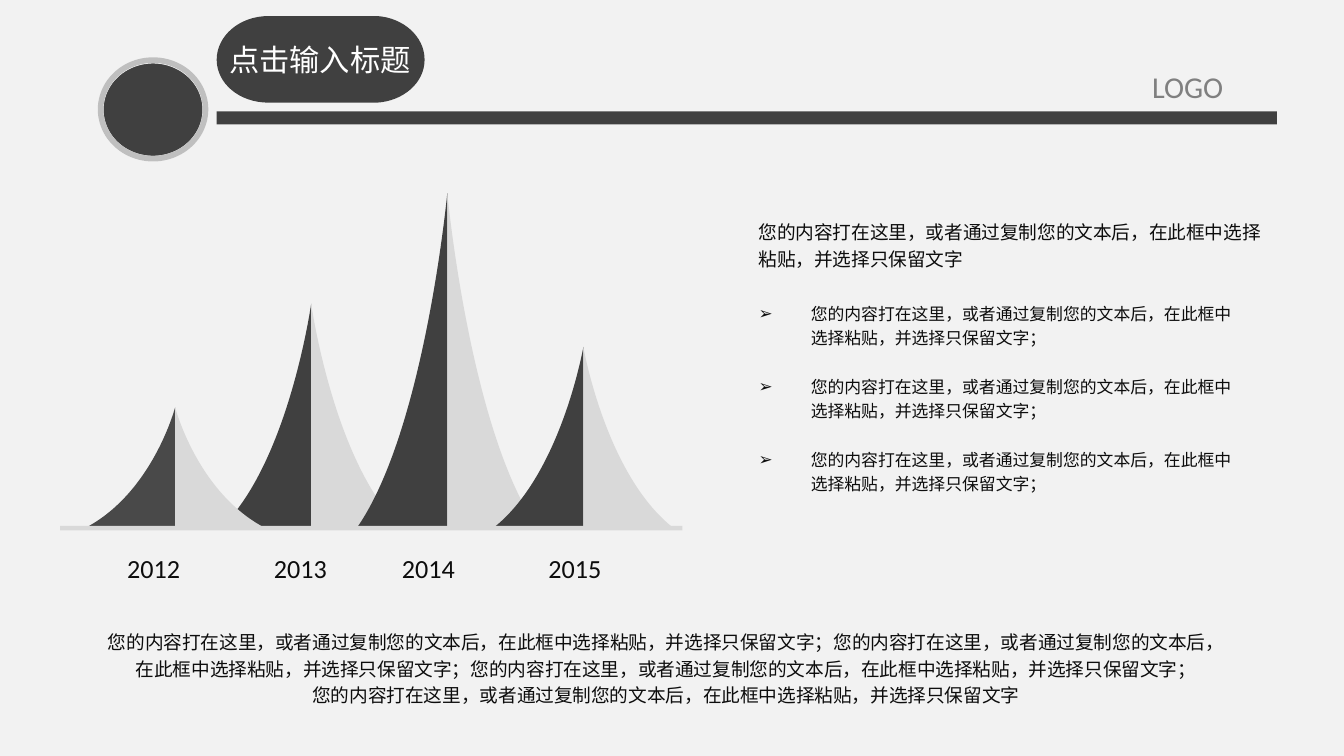
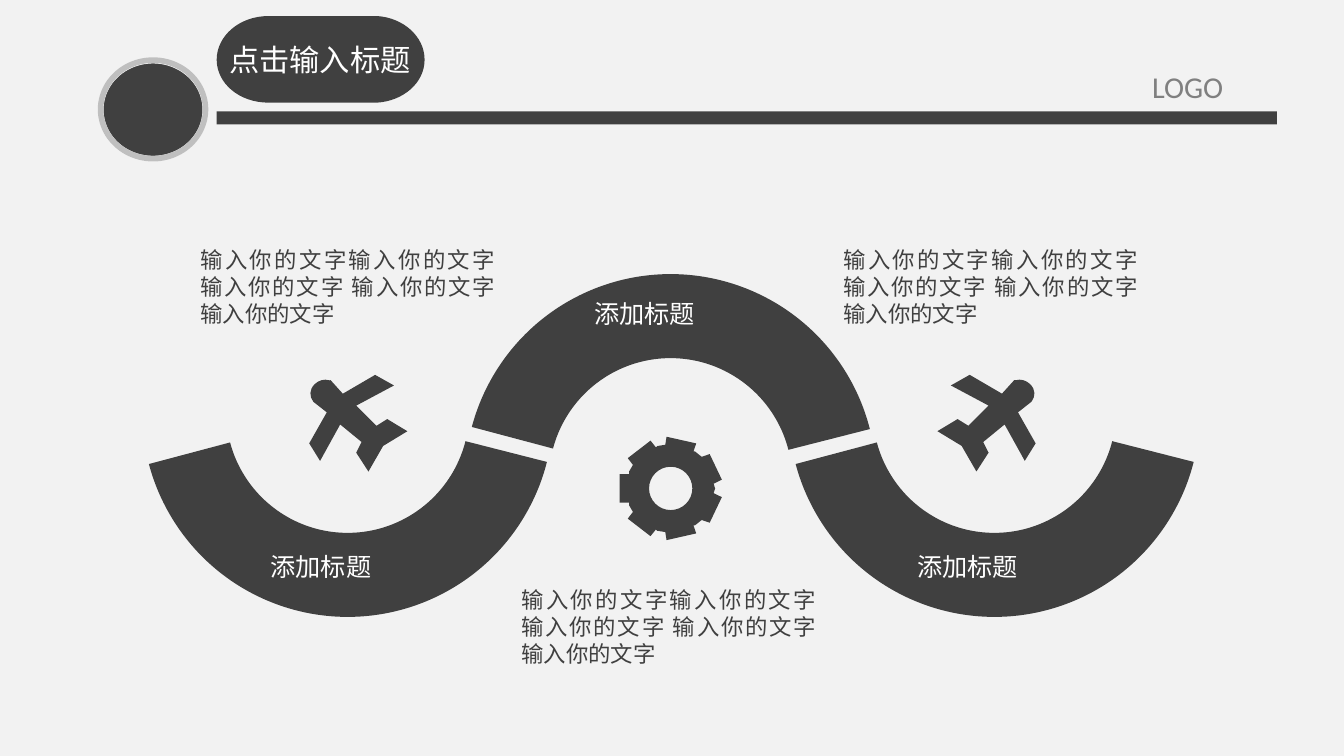
from dataclasses import dataclass
from math import cos, radians, sin

from lxml.etree import SubElement
from pptx import Presentation
from pptx.dml.color import RGBColor
from pptx.enum.shapes import MSO_SHAPE as Preset
from pptx.enum.text import MSO_ANCHOR as Anchor, MSO_AUTO_SIZE as AutoSize, PP_ALIGN as Align
from pptx.oxml.ns import qn
from pptx.util import Pt


@dataclass(frozen=True)
class Theme:
    background: RGBColor = RGBColor.from_string("F2F2F2")
    dark: RGBColor = RGBColor.from_string("404040")
    light: RGBColor = RGBColor.from_string("D9D9D9")
    ring: RGBColor = RGBColor.from_string("BFBFBF")
    muted: RGBColor = RGBColor.from_string("808080")
    ink: RGBColor = RGBColor.from_string("0D0D0D")
    white: RGBColor = RGBColor.from_string("FFFFFF")
    latin: str = "Calibri"
    chinese: str = "Noto Sans CJK SC"
    heading: str = "Noto Sans CJK JP"
    title_size: float = 16.2
    year_size: float = 14
    arc_size: float = 13.5
    caption_size: float = 12
    text_size: float = 10
    list_size: float = 9


theme = Theme()


def write(shape, box, texts, size, color, font=theme.chinese, align=Align.LEFT,
          leading=1.2, bullet=None, wrap=True):
    shape.left, shape.top, shape.width, shape.height = map(Pt, box)
    frame = shape.text_frame
    frame.auto_size = AutoSize.NONE
    frame.word_wrap = wrap
    frame.vertical_anchor = Anchor.TOP
    frame.margin_left = frame.margin_right = Pt(6.75)
    frame.margin_top = frame.margin_bottom = Pt(3.4)
    for index, text in enumerate(texts):
        paragraph = frame.paragraphs[0] if index == 0 else frame.add_paragraph()
        paragraph.text = text
        paragraph.alignment = align
        paragraph.line_spacing = Pt(round(size * leading, 1))
        paragraph.space_before = Pt(size * leading if bullet and index else 0)
        properties = paragraph._p.get_or_add_pPr()
        if bullet:
            properties.set("marL", str(Pt(28)))
            properties.set("indent", str(Pt(-28)))
            SubElement(properties, qn("a:buChar")).set("char", bullet)
        paragraph.font.size = Pt(size)
        paragraph.font.bold = False
        paragraph.font.color.rgb = color
        paragraph.font.name = font
        east_asian = SubElement(properties.find(qn("a:defRPr")), qn("a:ea"))
        east_asian.set("typeface", font)


def draw_outline(slide, contours, color):
    builder = None
    for contour in contours:
        start, *rest = [(Pt(x), Pt(y)) for segment in contour
                        for x, y in zip(segment[::2], segment[1::2])]
        if builder is None:
            builder = slide.shapes.build_freeform(*start)
        else:
            builder.move_to(*start)
        builder.add_line_segments(rest, close=True)
    shape = builder.convert_to_shape()
    lines = shape.element.iter(qn("a:lnTo"))
    lines = iter(list(lines))
    for segment in [segment for contour in contours for segment in contour[1:]]:
        line = next(lines)
        if len(segment) == 6:
            line.tag = qn("a:cubicBezTo")
            line.append(next(lines)[0])
            line.append(next(lines)[0])
    for line in list(shape.element.iter(qn("a:lnTo"))):
        if len(line) == 0:
            line.getparent().remove(line)
    shape.shadow.inherit = False
    shape.fill.solid()
    shape.fill.fore_color.rgb = color
    shape.line.fill.background()
    return shape


presentation = Presentation()
presentation.slide_width, presentation.slide_height = Pt(720), Pt(405)
chart_slide = presentation.slides.add_slide(presentation.slide_layouts[1])
wave_slide = presentation.slides.add_slide(presentation.slide_layouts[5])

header_shapes = [
    (Preset.OVAL, (53.5, 33, 57, 51), theme.dark, None),
    (Preset.OVAL, (54, 32.5, 56, 52.5), None, theme.white),
    (Preset.OVAL, (53.9, 32.2, 56.2, 52.8), None, theme.ring),
    (Preset.RECTANGLE, (116.1, 59.7, 568, 7), theme.dark, None),
]
baseline = (Preset.RECTANGLE, (32.2, 281.7, 333.4, 2.4), theme.light, None)
title_pill = [
    (144, 8.6), (202, 8.6),
    (216, 9.5, 227.5, 19.5, 227.5, 32), (227.5, 44.5, 216, 54.1, 202, 55),
    (144, 55),
    (128, 55, 116.1, 44.5, 116.1, 32), (116.1, 19.5, 128, 8.6, 144, 8.6),
]

peak_tops = {1: 162.7, 2: 103.5, 0: 218.2, 3: 185.8}
peak_base = 283.1
for index, top in peak_tops.items():
    apex = 93.8 + 72.9 * index
    shoulder = top + 0.71 * (peak_base - top)
    for side, color in ((-1, theme.dark), (1, theme.light)):
        half = draw_outline(chart_slide, [[
            (apex, top),
            (apex, top, apex + side * 12, shoulder, apex + side * 48.6, peak_base),
            (apex, peak_base),
        ]], color)
        if index == 0 and side == -1:
            shade = half.fill._xPr.find(qn("a:solidFill"))[0]
            SubElement(shade, qn("a:alpha")).set("val", "95000")

for slide, shapes in ((chart_slide, header_shapes + [baseline]), (wave_slide, header_shapes)):
    slide.background.fill.solid()
    slide.background.fill.fore_color.rgb = theme.background
    for preset, box, fill, line in shapes:
        shape = slide.shapes.add_shape(preset, *map(Pt, box))
        shape.shadow.inherit = False
        if fill:
            shape.fill.solid()
            shape.fill.fore_color.rgb = fill
            shape.line.fill.background()
        else:
            shape.fill.background()
            shape.line.color.rgb = line
            shape.line.width = Pt(3)
    draw_outline(slide, [title_pill], theme.dark)
    title = slide.shapes.title
    slide.shapes.element.append(title.element)
    write(title, (116, 19, 117.4, 26.6), ["点击输入标题"], theme.title_size, theme.white, theme.heading)
    write(slide.shapes.add_textbox(0, 0, 0, 0), (610.4, 33, 63.4, 26.6), ["LOGO"],
          theme.title_size, theme.muted, theme.latin)

sentence = "您的内容打在这里，或者通过复制您的文本后，在此框中选择粘贴，并选择只保留文字"
write(chart_slide.shapes.add_textbox(0, 0, 0, 0), (399.6, 112.3, 286.6, 36.7), [sentence],
      theme.text_size, theme.ink, leading=1.45)
write(chart_slide.placeholders[1], (399.6, 157, 270, 115), [sentence + "；"] * 3,
      theme.list_size, theme.ink, leading=1.45, bullet="➢")
write(chart_slide.shapes.add_textbox(0, 0, 0, 0), (50.6, 332, 612, 65.5),
      [(sentence + "；") * 3, sentence], theme.text_size, theme.ink,
      align=Align.CENTER, leading=1.44)
for year, left in zip(range(2012, 2016), (61.3, 140, 208.5, 287)):
    write(chart_slide.shapes.add_textbox(0, 0, 0, 0), (left, 292.3, 46.8, 24.5), [str(year)],
          theme.year_size, theme.ink, theme.latin, wrap=False)

arc_diameter, arc_band = 220.3, 45
for left, top, flipped in ((249.1, 146.9, False), (422.6, 110.2, True), (76.1, 110.2, True)):
    arc = wave_slide.shapes.add_shape(Preset.BLOCK_ARC, Pt(left), Pt(top),
                                      Pt(arc_diameter), Pt(arc_diameter))
    arc.shadow.inherit = False
    arc.fill.solid()
    arc.fill.fore_color.rgb = theme.dark
    arc.line.fill.background()
    for index, value in enumerate((116.92, 207.45, arc_band / arc_diameter)):
        arc.adjustments[index] = value
    if flipped:
        arc.element.spPr.xfrm.set("flipV", "1")

gear_x, gear_y = 359.3, 261.7
gear_half = [
    (-27.4, -7.6), (-22.3, -7.6), (-22.3, -9), (-20.2, -12.6), (-23, -16.2), (-10.8, -25.6),
    (-7.9, -22), (-7.2, -22.7), (-2.9, -23.4), (-2.2, -27.7), (13.7, -24.1), (12.2, -19.8),
    (13, -19.8), (16.6, -16.9), (20.9, -18.4), (27.4, -4.7), (23, -2.5), (23.8, 0),
]
gear_teeth = gear_half + [(x, -y) for x, y in reversed(gear_half[:-1])]
gear_hole = [
    (0, -11.6), (-6.4, -11.6, -11.6, -6.4, -11.6, 0), (-11.6, 6.4, -6.4, 11.6, 0, 11.6),
    (6.4, 11.6, 11.6, 6.4, 11.6, 0), (11.6, -6.4, 6.4, -11.6, 0, -11.6),
]
draw_outline(wave_slide, [
    [[value + (gear_y if index % 2 else gear_x) for index, value in enumerate(segment)]
     for segment in contour] for contour in (gear_hole, gear_teeth)], theme.dark)

plane = [
    (-21.6, -19.1), (-19.4, -21.2, -16.6, -22, -13.7, -21.2), (-13, -21.2), (-6.5, -14),
    (10.8, -24.1), (20.9, -18.4), (0.7, -7.6), (11.5, 3.2), (17.3, -0.4), (28.1, 6.1),
    (15.1, 14), (7.2, 27.7), (0.7, 17.6), (3.6, 11.9), (-7.9, 2.5), (-18.7, 22),
    (-24.5, 12.6), (-15.1, -4), (-22.3, -9.7), (-24.5, -12.6, -24.5, -16.2, -21.6, -19.1),
]
tilt = radians(30)
for center_x, side in ((190.1, 1), (530.4, -1)):
    contour = []
    for segment in plane:
        upright = []
        for x, y in zip(segment[::2], segment[1::2]):
            upright += [center_x + side * (x * cos(tilt) - y * sin(tilt)),
                        225 + x * sin(tilt) + y * cos(tilt)]
        contour.append(upright)
    draw_outline(wave_slide, [contour], theme.dark).rotation = -30 * side

for left, top in ((138.4, 291.9), (484.8, 291.9), (311.5, 156.3)):
    write(wave_slide.shapes.add_textbox(0, 0, 0, 0), (left, top, 96.5, 28.8), ["添加标题"],
          theme.arc_size, theme.white, align=Align.JUSTIFY)
phrase = "输入你的文字"
for left, top in ((445, 128.2), (100.6, 128.2), (272.6, 310.5)):
    write(wave_slide.shapes.add_textbox(0, 0, 0, 0), (left, top, 171.4, 51.1),
          [phrase + " ".join([phrase] * 4)], theme.caption_size, theme.dark,
          align=Align.JUSTIFY, leading=1.21)

presentation.save("out.pptx")
